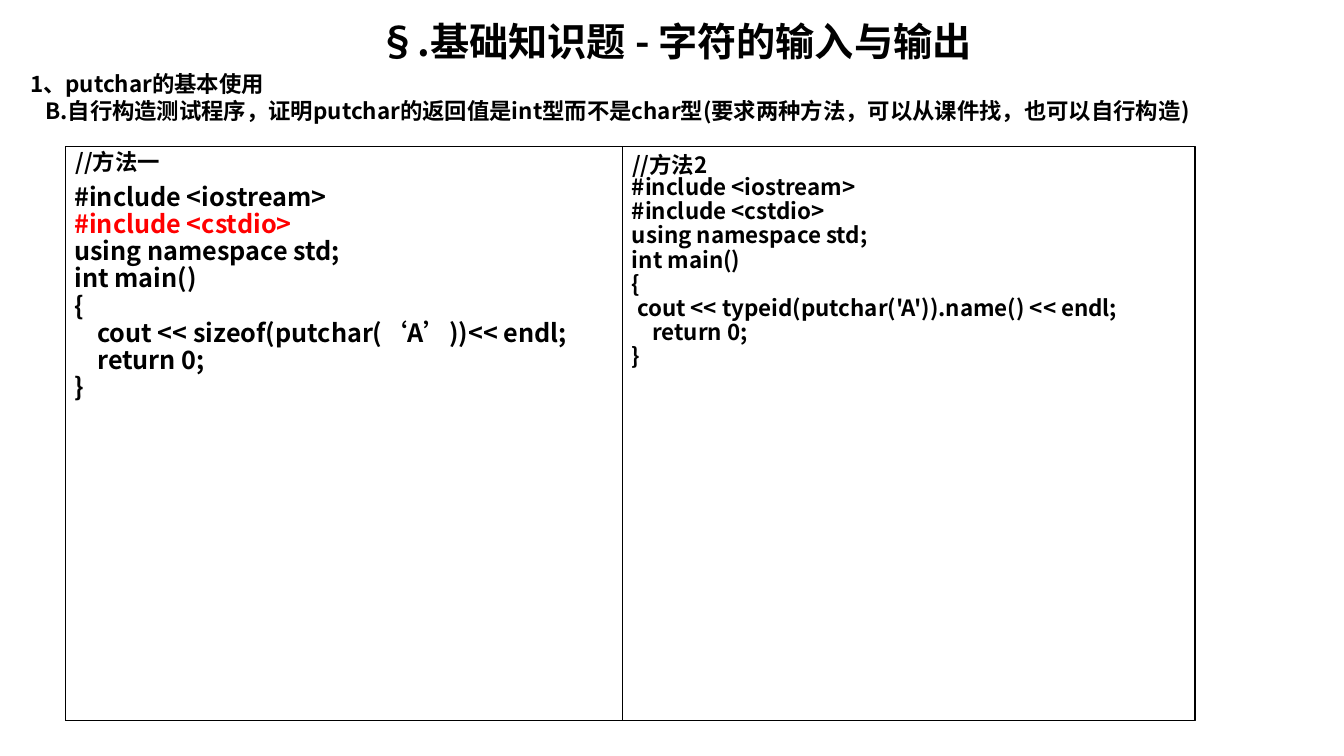
from pptx import Presentation
from pptx.dml.color import RGBColor
from pptx.enum.shapes import MSO_SHAPE
from pptx.enum.text import MSO_ANCHOR, PP_ALIGN
from pptx.oxml.ns import qn
from pptx.util import Inches, Pt
from lxml import etree

FONT = "Noto Sans CJK SC"
TOP, HEIGHT = 1.45, 5.7


def color(value):
    return RGBColor.from_string(value)


def write(tf, lines, size, spacing=1.0, align=PP_ALIGN.LEFT):
    tf.word_wrap = True
    tf.vertical_anchor = MSO_ANCHOR.TOP
    tf.margin_left = tf.margin_right = Inches(0.1)
    tf.margin_top = tf.margin_bottom = Inches(0.05)
    for i, line in enumerate(lines):
        p = tf.paragraphs[0] if i == 0 else tf.add_paragraph()
        p.alignment = align
        p.line_spacing = spacing
        p.space_before = Pt(0)
        r = p.add_run()
        r.text = line
        r.font.name = FONT
        r.font.size = Pt(size)
        r.font.bold = True
        r.font.color.rgb = color("000000")
        etree.SubElement(r.font._element, qn("a:ea")).set("typeface", FONT)


prs = Presentation()
prs.slide_width, prs.slide_height = Inches(13.33), Inches(7.5)
s = prs.slides.add_slide(prs.slide_layouts[5])

title = s.shapes.title
title.left, title.top = Inches(0.2), Inches(0.12)
title.width, title.height = Inches(12.99), Inches(0.66)
write(title.text_frame, ["§.基础知识题 - 字符的输入与输出"], 28, align=PP_ALIGN.CENTER)

task = s.shapes.add_textbox(Inches(0.2), Inches(0.65), Inches(12.99), Inches(0.75))
write(task.text_frame, [
    "1、putchar的基本使用",
    "B.自行构造测试程序，证明putchar的返回值是int型而不是char型(要求两种方法，可以从课件找，也可以自行构造)",
], 16)
task.text_frame.paragraphs[1]._p.get_or_add_pPr().set("marL", str(Inches(0.15)))

panels = [
    (0.65, 11.21, "", 1.0),
    (0.65, 5.52, "//方法一", 0.9),
    (6.17, 5.68, "//方法2", 1.0),
]
for left, width, label, spacing in panels:
    sp = s.shapes.add_shape(MSO_SHAPE.RECTANGLE, Inches(left), Inches(TOP), Inches(width), Inches(HEIGHT))
    sp.shadow.inherit = False
    sp.fill.background()
    sp.line.color.rgb = color("000000")
    sp.line.width = Pt(0.75)
    if label:
        write(sp.text_frame, [label], 16, spacing)

head = ["#include <iostream>", "#include <cstdio>", "using namespace std;", "int main()", "{"]
tail = ["    return 0;", "}"]
programs = [
    (0.64, 1.78, 2.28, 18, "    cout << sizeof(putchar(‘A’))<< endl;"),
    (6.17, 1.7, 2.04, 16, " cout << typeid(putchar('A')).name() << endl;"),
]
codes = []
for left, top, height, size, statement in programs:
    code = s.shapes.add_textbox(Inches(left), Inches(top), Inches(6.67), Inches(height))
    write(code.text_frame, head + [statement] + tail, size, 0.9)
    codes.append(code)
codes[0].text_frame.paragraphs[1].runs[0].font.color.rgb = color("FF0000")

prs.save("out.pptx")
